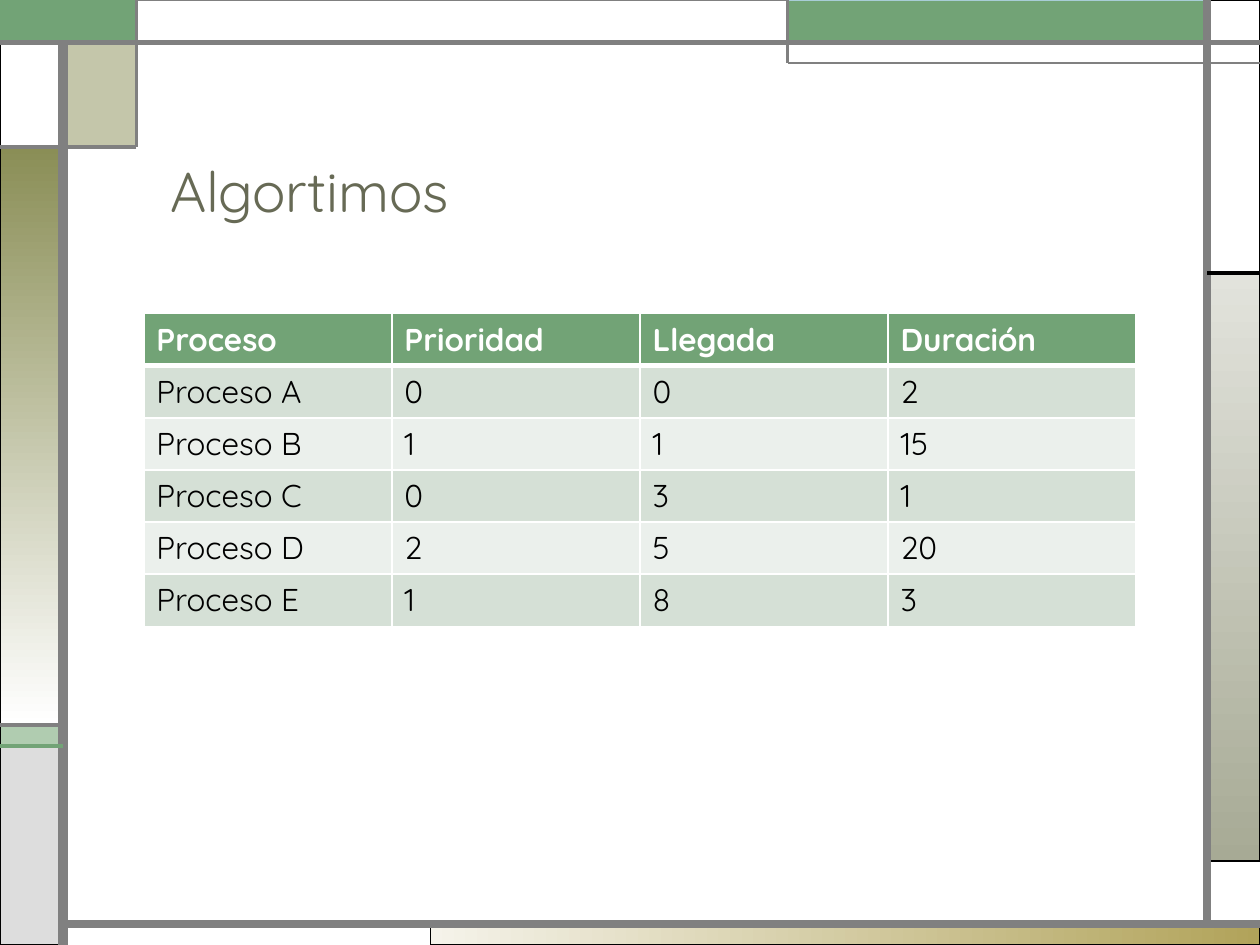
from lxml.etree import SubElement as Sub
from pptx import Presentation
from pptx.dml.color import RGBColor as RGB
from pptx.enum.shapes import MSO_CONNECTOR as Link, MSO_SHAPE as Shape
from pptx.enum.text import MSO_ANCHOR as Anchor
from pptx.oxml.ns import qn
from pptx.util import Cm, Pt

FONT = "Quicksand"
HEX = {
    "white": "FFFFFF", "black": "000000", "gray": "808080", "pale": "DDDDDD",
    "green": "72A376", "mint": "B0CCB0", "sky": "A8CDD7", "olive": "8A8E56",
    "cream": "F5F3EA", "gold": "B1A35A", "mist": "E2E3DC", "sage": "A7AA95",
    "title": "676A55", "odd": "D5E0D6", "even": "EBF0EC",
}
RGBS = {name: RGB.from_string(code) for name, code in HEX.items()}

# Frame edges in cm, left to right and top to bottom
WIDE, HIGH = 25.4, 19.05
LEFT, TAB, FOOT, MID, RIGHT = 1.27, 2.75, 8.68, 15.88, 24.34
TOP, STEP, HEAD, SIDE, MINT, PALE, END, BASE = (
    0.85, 1.27, 2.96, 5.5, 14.61, 15.03, 17.36, 18.63)

deck = Presentation()
deck.slide_width, deck.slide_height = Cm(WIDE), Cm(HIGH)
slide = deck.slides.add_slide(deck.slide_layouts[6])
shapes = slide.shapes

# Panels: edges, fill (two colours and an angle for a gradient), line, width
panels = [
    (FOOT, BASE, WIDE, HIGH, ("cream", "gold", 0), "black", 0.75),
    (RIGHT, SIDE, WIDE, END, ("mist", "sage", 270), "black", 0.75),
    (0, MINT, LEFT, PALE, "mint", "black", 0.75),
    (0, PALE, LEFT, HIGH, "pale", "black", 0.75),
    (RIGHT, 0, WIDE, SIDE, "white", "black", 0.75),
    (MID, 0, RIGHT, TOP, "green", "sky", 0.75),
    (LEFT, TOP, TAB, HEAD, "olive", "black", 0.75),
    (0, HEAD, LEFT, MINT, ("olive", "white", 270), "black", 0.75),
    (0, TOP, LEFT, HEAD, "white", "black", 0.75),
    (0, 0, TAB, TOP, "green", "green", 1.5),
    (TAB, 0, MID, TOP, "white", "gray", 0.75),
]
for x, y, right, low, paint, edge, width in panels:
    box = shapes.add_shape(Shape.RECTANGLE, Cm(x), Cm(y), Cm(right - x), Cm(low - y))
    box.shadow.inherit = False
    if isinstance(paint, tuple):
        box.fill.gradient()
        box.fill.gradient_angle = paint[2]
        for stop, tone in zip(box.fill.gradient_stops, paint):
            stop.color.rgb = RGBS[tone]
    else:
        box.fill.solid()
        box.fill.fore_color.rgb = RGBS[paint]
    if paint == "olive":  # half transparent
        tint = box.fill._xPr.find(".//" + qn("a:srgbClr"))
        Sub(tint, qn("a:alpha"), val="50000")
    box.line.color.rgb = RGBS[edge]
    box.line.width = Pt(width)

# Bars: start, end, colour, width
bars = [
    (LEFT, HIGH, LEFT, TOP, "gray", 6),
    (LEFT, BASE, WIDE, BASE, "gray", 4.5),
    (RIGHT, BASE, RIGHT, 0, "gray", 4.5),
    (0, TOP, WIDE, TOP, "gray", 3),
    (WIDE, STEP, MID, STEP, "gray", 1.5),
    (MID, STEP, MID, 0, "gray", 1.5),
    (RIGHT, SIDE, WIDE, SIDE, "black", 2.25),
    (TAB, 0, TAB, HEAD, "gray", 1.5),
    (TAB, HEAD, 0, HEAD, "gray", 2.25),
    (LEFT, MINT, 0, MINT, "gray", 2.25),
    (LEFT, PALE, 0, PALE, "green", 2.25),
]
for *ends, tone, width in bars:
    bar = shapes.add_connector(Link.STRAIGHT, *map(Cm, ends))
    bar.line.color.rgb = RGBS[tone]
    bar.line.width = Pt(width)
    Sub(bar._element.spPr, qn("a:effectLst"))

# Process table
rows = [
    ("Proceso", "Prioridad", "Llegada", "Duración"),
    ("Proceso A", "0", "0", "2"),
    ("Proceso B", "1", "1", "15"),
    ("Proceso C", "0", "3", "1"),
    ("Proceso D", "2", "5", "20"),
    ("Proceso E", "1", "8", "3"),
]
table = shapes.add_table(len(rows), len(rows[0]), Cm(2.9), Cm(6.32),
                         Cm(20), Cm(6.18)).table
for col in table.columns:
    col.width = Cm(5)
for r, row in enumerate(rows):
    table.rows[r].height = Cm(1.03)
    for c, text in enumerate(row):
        cell = table.cell(r, c)
        # White rules, thick under the header
        props = cell._tc.get_or_add_tcPr()
        for side in "LRTB":
            thick = (r, side) in [(0, "B"), (1, "T")]
            rule = Sub(props, qn("a:ln" + side), w=str(Pt(3 if thick else 1)))
            Sub(Sub(rule, qn("a:solidFill")), qn("a:srgbClr"), val=HEX["white"])
        cell.fill.solid()
        cell.fill.fore_color.rgb = RGBS["green" if r == 0 else "odd" if r % 2 else "even"]
        cell.text = text
        font = cell.text_frame.paragraphs[0].font
        font.name, font.size, font.bold = FONT, Pt(18), r == 0
        font.color.rgb = RGBS["black" if r else "white"]

# Title
frame = shapes.add_textbox(Cm(3.18), Cm(1.48), Cm(20), Cm(3.18)).text_frame
frame.word_wrap = True
frame.vertical_anchor = Anchor.BOTTOM
frame.text = "Algortimos"
para = frame.paragraphs[0]
para.line_spacing = 0.9
para.font.name, para.font.size = FONT, Pt(32)
para.font.color.rgb = RGBS["title"]

deck.save("out.pptx")
